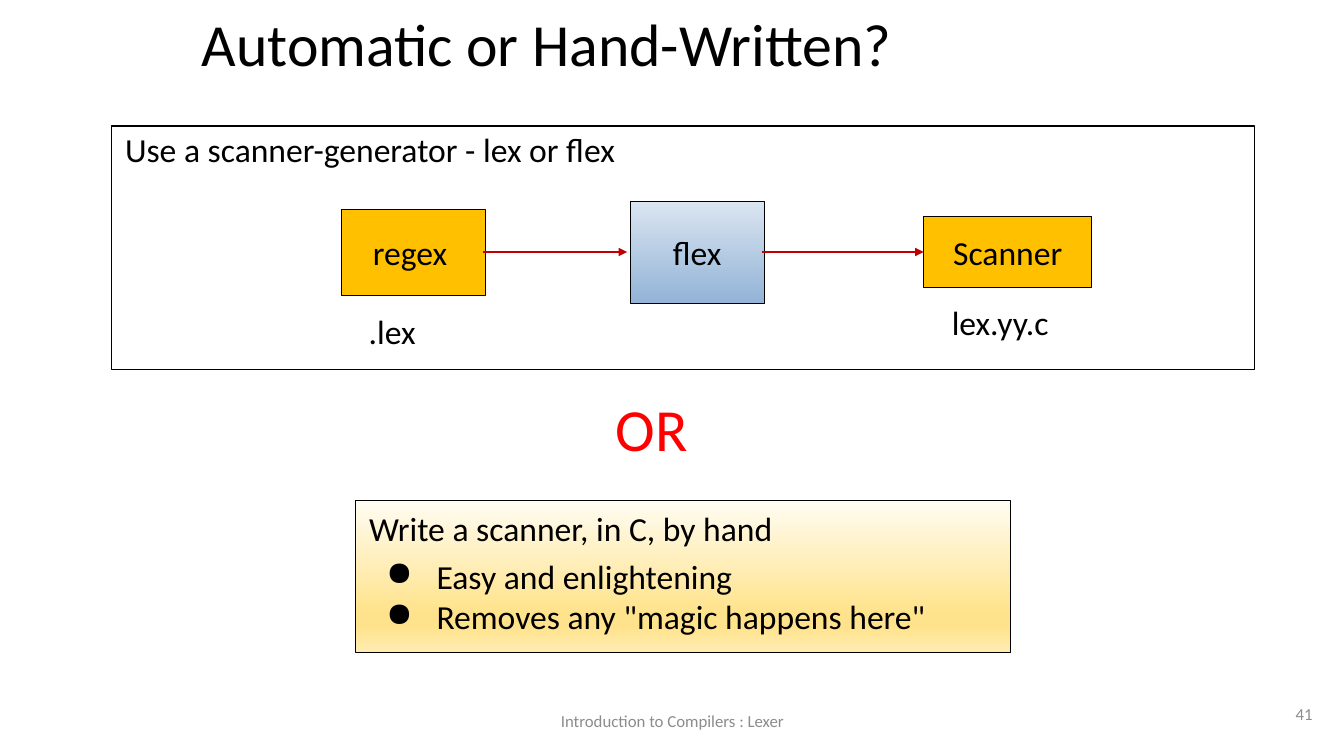
"""Build the slide that compares a generated scanner with a hand-written one."""
from lxml import etree
from pptx import Presentation
from pptx.dml.color import RGBColor
from pptx.enum.shapes import MSO_CONNECTOR, MSO_SHAPE
from pptx.enum.text import MSO_ANCHOR, MSO_AUTO_SIZE, PP_ALIGN
from pptx.oxml.ns import qn
from pptx.util import Inches, Pt

RECTANGLE, STRAIGHT = MSO_SHAPE.RECTANGLE, MSO_CONNECTOR.STRAIGHT
LEFT, CENTER, RIGHT = PP_ALIGN.LEFT, PP_ALIGN.CENTER, PP_ALIGN.RIGHT
TOP, MIDDLE = MSO_ANCHOR.TOP, MSO_ANCHOR.MIDDLE
FIXED = MSO_AUTO_SIZE.NONE
FONT = "Calibri"
COLORS = {"ink": "000000", "amber": "FFC000", "arrow": "C00000",
          "red": "FF0000", "gray": "8C8C8C"}
BLUE_FADE = [(0, "DAE5F1"), (100, "93B3D7")]
GOLD_FADE = [(0, "FFFCF2"), (74, "FFE38C"), (83, "FFE38C"), (100, "FFECB2")]

TITLE = ("Automatic or Hand-Written?", (1.87, 0.15, 9.91, 0.63))
GENERATOR = ("Use a scanner-generator - lex or flex", (1.11, 1.25, 11.33, 2.42))
STAGES = [
    ("regex ", (3.39, 2.08, 1.43, 0.85), "amber"),
    ("flex", (6.25, 2, 1.33, 1.01), BLUE_FADE),
    ("Scanner", (9.16, 2.15, 1.67, 0.7), "amber"),
]
ARROW_Y = 2.5
ARROWS = [(4.79, 6.22), (7.56, 9.16)]
BY_HAND = (["Write a scanner, in C, by hand", "Easy and enlightening",
            'Removes any "magic happens here"'], (3.53, 4.97, 6.49, 1.5))
LABELS = [
    (".lex", (2.99, 3.01, 1.8, 0.4), 24, "ink", CENTER, TOP),
    ("lex.yy.c", (9.02, 2.93, 1.8, 0.4), 24, "ink", CENTER, TOP),
    ("OR", (5.98, 3.82, 1.6, 0.64), 42.7, "red", LEFT, TOP),
    ("41", (12.35, 6.8, 0.8, 0.57), 12, "gray", RIGHT, MIDDLE),
    ("Introduction to Compilers : Lexer", (4.42, 6.95, 4.5, 0.4), 12, "gray",
     CENTER, MIDDLE),
]


def rgb(name):
    return RGBColor.from_string(COLORS.get(name, name))


def place(shape, at):
    shape.left, shape.top, shape.width, shape.height = map(Inches, at)


def write(shape, text, size=24, color="ink", align=LEFT, anchor=TOP):
    frame = shape.text_frame
    frame.text = text
    frame.word_wrap = True
    frame.auto_size = FIXED
    frame.vertical_anchor = anchor
    frame.margin_left = frame.margin_right = Inches(0.13)
    frame.margin_top = frame.margin_bottom = Inches(0.07)
    for para in frame.paragraphs:
        para.alignment = align
        for span in para.runs:
            span.font.name = FONT
            span.font.size = Pt(size)
            span.font.color.rgb = rgb(color)
    return frame


def outline(shape):
    shape.line.color.rgb = rgb("ink")
    shape.line.width = Pt(0.75)


def fade(shape, stops):
    shape.fill.gradient()
    shape.fill.gradient_angle = 270
    stop_list = shape.fill._xPr.find(".//" + qn("a:gsLst"))
    for old in list(stop_list):
        stop_list.remove(old)
    for percent, color in stops:
        stop = etree.SubElement(stop_list, qn("a:gs"), pos=str(percent * 1000))
        etree.SubElement(stop, qn("a:srgbClr"), val=color)


def add_box(page, at, fill):
    box = page.shapes.add_shape(RECTANGLE, *map(Inches, at))
    box.shadow.inherit = False
    outline(box)
    if isinstance(fill, str):
        box.fill.solid()
        box.fill.fore_color.rgb = rgb(fill)
    else:
        fade(box, fill)
    return box


def add_arrow(page, start, end):
    arrow = page.shapes.add_connector(
        STRAIGHT, *map(Inches, (start, ARROW_Y, end, ARROW_Y)))
    arrow.line.color.rgb = rgb("arrow")
    arrow.line.width = Pt(2)
    etree.SubElement(arrow.line._get_or_add_ln(), qn("a:tailEnd"), type="triangle")
    etree.SubElement(arrow._element.spPr, qn("a:effectLst"))


def add_bullet(para):
    props = para._p.get_or_add_pPr()
    props.set("marL", str(Inches(0.67)))
    props.set("indent", str(Inches(-0.5)))
    color = etree.SubElement(props, qn("a:buClr"))
    etree.SubElement(color, qn("a:srgbClr"), val=COLORS["ink"])
    etree.SubElement(props, qn("a:buChar"), char="●")


def main():
    deck = Presentation()
    deck.slide_width, deck.slide_height = Inches(13.33), Inches(7.5)
    page = deck.slides.add_slide(deck.slide_layouts[1])

    title, body = page.shapes.title, page.placeholders[1]
    place(title, TITLE[1])
    write(title, TITLE[0], 42.7, anchor=MIDDLE).paragraphs[0].line_spacing = 0.9

    place(body, GENERATOR[1])
    outline(body)
    lead = write(body, GENERATOR[0]).paragraphs[0]
    props = lead._p.get_or_add_pPr()
    props.set("marL", "0")
    props.set("indent", "0")
    etree.SubElement(props, qn("a:buNone"))
    lead.line_spacing = 0.9
    lead.space_before = Pt(0)

    for text, at, fill in STAGES:
        write(add_box(page, at, fill), text, align=CENTER, anchor=MIDDLE)
    for start, end in ARROWS:
        add_arrow(page, start, end)

    lines, at = BY_HAND
    bullets = write(add_box(page, at, GOLD_FADE), "\n".join(lines)).paragraphs[1:]
    for para in bullets:
        add_bullet(para)
    bullets[0].space_before = Pt(5.3)

    for text, at, *style in LABELS:
        write(page.shapes.add_textbox(*map(Inches, at)), text, *style)

    deck.save("out.pptx")


if __name__ == "__main__":
    main()
